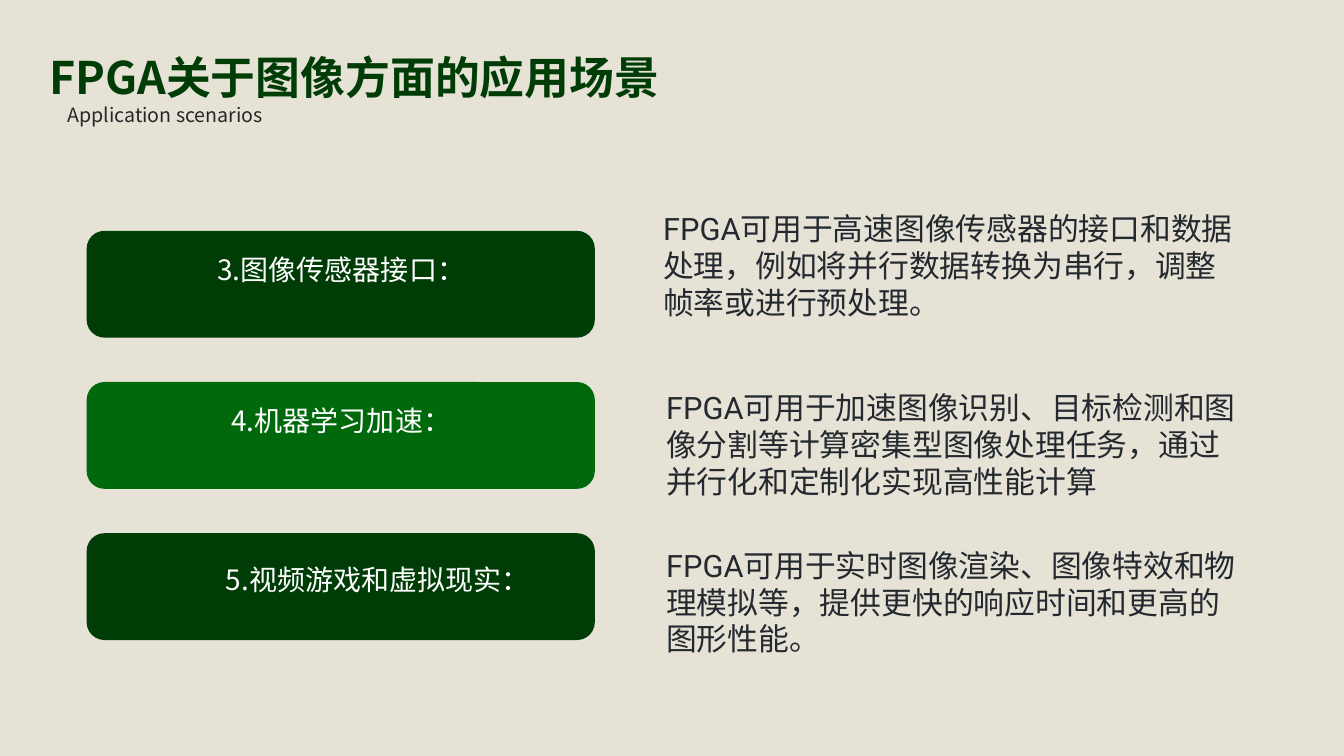
from lxml import etree
from pptx import Presentation
from pptx.dml.color import RGBColor
from pptx.enum import shapes, text
from pptx.oxml.ns import qn
from pptx.util import Inches, Pt

TITLE = "FPGA关于图像方面的应用场景"
SUBTITLE = "Application scenarios"

BACKGROUND = RGBColor(0xE6, 0xE2, 0xD6)
DARK_GREEN = RGBColor(0x00, 0x3C, 0x06)
GREEN = RGBColor(0x00, 0x69, 0x0B)
WHITE = RGBColor(0xFF, 0xFF, 0xFF)
SUBTITLE_GREY = RGBColor(0x26, 0x26, 0x26)
BODY_GREY = RGBColor(0x24, 0x29, 0x2F)
HEAD_FONT, BODY_FONT = "Noto Sans CJK JP", "Roboto"

# label, bar colour, label (offset in bar, width, height), description, its (left, top)
SCENARIOS = [
    ("3.图像传感器接口：", DARK_GREEN, (0.22, 2.61, 0.32),
     "FPGA可用于高速图像传感器的接口和数据处理，例如将并行数据转换为串行，调整帧率或进行预处理。",
     (6.48, 2.03)),
    ("4.机器学习加速：", GREEN, (0.22, 2.61, 0.32),
     "FPGA可用于加速图像识别、目标检测和图像分割等计算密集型图像处理任务，通过并行化和定制化实现高性能计算",
     (6.51, 3.81)),
    ("5.视频游戏和虚拟现实：", DARK_GREEN, (0.23, 3.06, 0.45),
     "FPGA可用于实时图像渲染、图像特效和物理模拟等，提供更快的响应时间和更高的图形性能。",
     (6.51, 5.37)),
]
BAR_LEFT, BAR_TOP, BAR_W, BAR_H, ROW_PITCH = 0.86, 2.29, 5.04, 1.06, 1.5
LABEL_LEFT = 2.08
BODY_W, BODY_H = 5.96, 1.22


def write(sp, content, size, color, font, align, anchor, insets, bold=False):
    tf = sp.text_frame
    tf.word_wrap = True
    tf.auto_size = text.MSO_AUTO_SIZE.NONE
    tf.vertical_anchor = anchor
    tf.margin_left = tf.margin_right = Inches(insets[0])
    tf.margin_top = tf.margin_bottom = Inches(insets[1])
    p = tf.paragraphs[0]
    p.alignment = align
    r = p.add_run()
    r.text = content
    r.font.size, r.font.bold, r.font.name = Pt(size), bold, font
    r.font.color.rgb = color
    # East Asian characters take their typeface from a separate element
    east_asian = etree.Element(qn("a:ea"), typeface=font)
    r.font._element.find(qn("a:latin")).addnext(east_asian)


def add_text(slide, box, *args):
    write(slide.shapes.add_textbox(*map(Inches, box)), *args)


def add_bar(slide, top, color):
    bar = slide.shapes.add_shape(
        shapes.MSO_SHAPE.ROUNDED_RECTANGLE,
        *map(Inches, (BAR_LEFT, top, BAR_W, BAR_H)))
    bar.shadow.inherit = False
    bar.fill.solid()
    bar.fill.fore_color.rgb = color
    bar.line.fill.background()


def main():
    left, center, right = text.PP_ALIGN.LEFT, text.PP_ALIGN.CENTER, text.PP_ALIGN.RIGHT
    top_anchor, middle = text.MSO_ANCHOR.TOP, text.MSO_ANCHOR.MIDDLE

    prs = Presentation()
    prs.slide_width, prs.slide_height = Inches(13.33), Inches(7.5)
    slide = prs.slides.add_slide(prs.slide_layouts[5])
    slide.background.fill.solid()
    slide.background.fill.fore_color.rgb = BACKGROUND

    title = slide.shapes.title
    title.left, title.top, title.width, title.height = map(
        Inches, (0.49, 0.49, 6.18, 0.54))
    write(title, TITLE, 32, DARK_GREEN, HEAD_FONT, left, middle, (0, 0), True)
    add_text(slide, (0.49, 1.02, 2.12, 0.24), SUBTITLE, 14, SUBTITLE_GREY,
             HEAD_FONT, right, middle, (0, 0))

    for row, (label, color, (offset, width, height), body, place) in enumerate(SCENARIOS):
        top = BAR_TOP + row * ROW_PITCH
        add_bar(slide, top, color)
        add_text(slide, (LABEL_LEFT, top + offset, width, height), label, 20,
                 WHITE, HEAD_FONT, center, middle, (0.07, 0.04))
        add_text(slide, (*place, BODY_W, BODY_H), body, 22, BODY_GREY,
                 BODY_FONT, left, top_anchor, (0.1, 0.05))

    prs.save("out.pptx")


if __name__ == "__main__":
    main()
